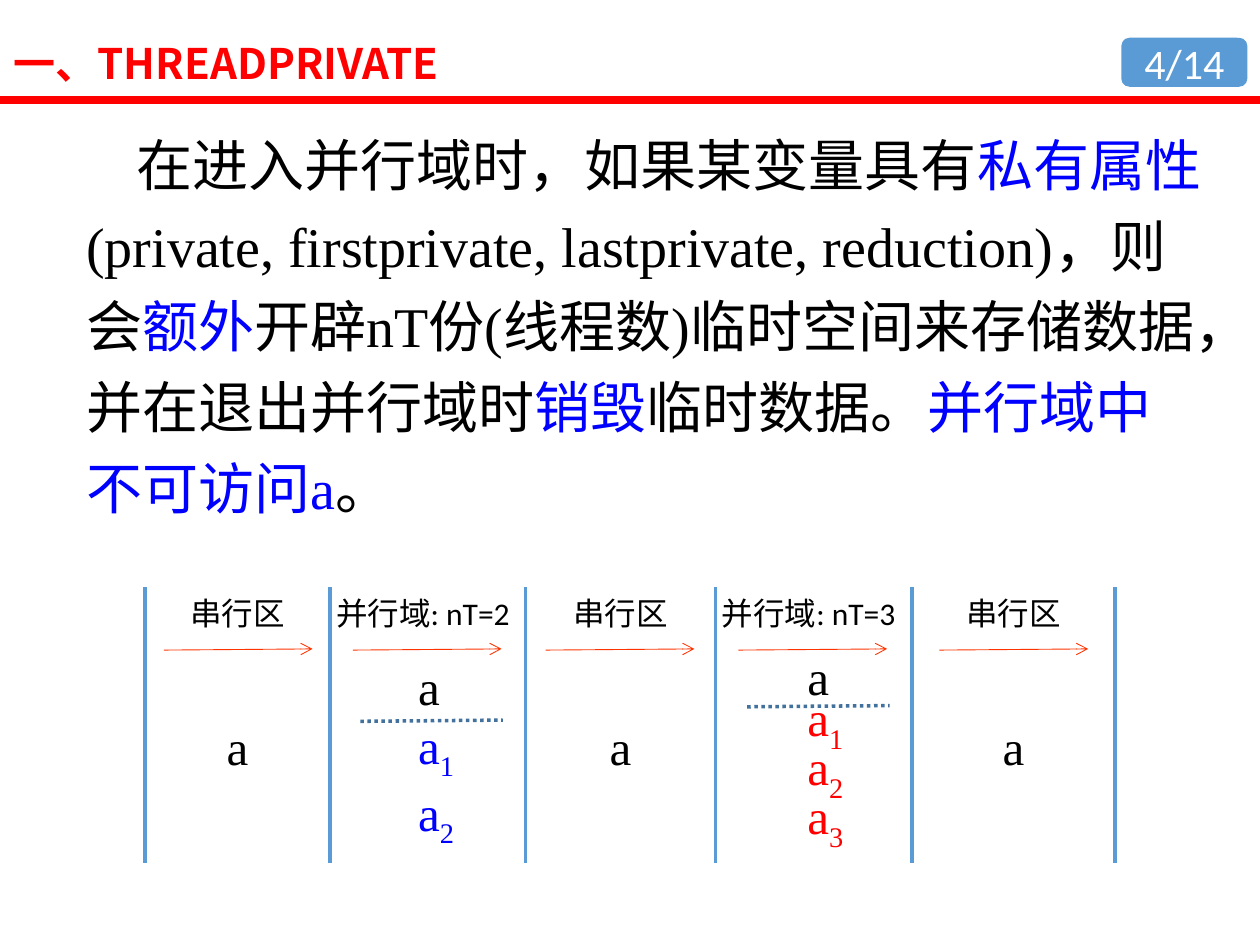
from lxml import etree
from pptx import Presentation
from pptx.dml.color import RGBColor
from pptx.enum import dml, shapes, text
from pptx.oxml import ns
from pptx.util import Pt

RED = RGBColor(0xFF, 0x00, 0x00)
BLUE = RGBColor(0x00, 0x00, 0xFF)
BLACK = RGBColor(0x00, 0x00, 0x00)
WHITE = RGBColor(0xFF, 0xFF, 0xFF)
DIVIDER = RGBColor(0x5B, 0x9B, 0xD5)
ARROW = RGBColor(0xFF, 0x33, 0x00)
DOTTED = RGBColor(0x41, 0x71, 0x9C)
SERIF = "Times New Roman"

deck = Presentation()
deck.slide_width, deck.slide_height = Pt(720), Pt(540)
page = deck.slides.add_slide(deck.slide_layouts[6])


def add_line(x1, y1, x2, y2, color, weight):
    line = page.shapes.add_connector(
        shapes.MSO_CONNECTOR.STRAIGHT, Pt(x1), Pt(y1), Pt(x2), Pt(y2))
    line.line.color.rgb = color
    line.line.width = Pt(weight)
    etree.SubElement(line._element.spPr, ns.qn("a:effectLst"))
    return line


def add_text(left, top, width, height, paragraphs, font, size, wrap=False):
    box = page.shapes.add_textbox(Pt(left), Pt(top), Pt(width), Pt(height))
    frame = box.text_frame
    frame.word_wrap = wrap
    for index, runs in enumerate(paragraphs):
        para = frame.add_paragraph() if index else frame.paragraphs[0]
        for words, color, subscript in runs:
            span = para.add_run()
            span.text = words
            span.font.name = font
            span.font.size = Pt(size)
            span.font.color.rgb = color
            if subscript:
                span.font._element.set("baseline", "-25000")
    return frame


add_line(0, 56.9, 720, 56.9, RED, 4.5)

badge = page.shapes.add_shape(
    shapes.MSO_SHAPE.ROUNDED_RECTANGLE, Pt(640.8), Pt(21.6), Pt(72), Pt(28))
badge.shadow.inherit = False
badge.fill.solid()
badge.fill.fore_color.rgb = DIVIDER
badge.line.fill.background()
badge.text_frame.word_wrap = False
badge.text_frame.vertical_anchor = text.MSO_ANCHOR.MIDDLE
para = badge.text_frame.paragraphs[0]
para.alignment = text.PP_ALIGN.CENTER
span = para.add_run()
span.text = "4/14"
span.font.name = "Calibri"
span.font.size = Pt(24)
span.font.color.rgb = WHITE

title = add_text(0.7, 20.9, 442, 33, [[("一、THREADPRIVATE", RED, False)]],
                 "Noto Sans CJK SC", 24, wrap=True)
title.vertical_anchor = text.MSO_ANCHOR.MIDDLE
title.paragraphs[0].line_spacing = 0.9
title.paragraphs[0].runs[0].font.bold = True

body_runs = [
    ("在进入并行域时，如果某变量具有", BLACK, False),
    ("私有属性", BLUE, False),
    ("(private, firstprivate, lastprivate, reduction)，则会", BLACK, False),
    ("额外", BLUE, False),
    ("开辟nT份(线程数)临时空间来存储数据，并在退出并行域时", BLACK, False),
    ("销毁", BLUE, False),
    ("临时数据。", BLACK, False),
    ("并行域中不可访问a", BLUE, False),
    ("。", BLACK, False),
]
body = add_text(42.2, 63.4, 653, 465.8, [body_runs], SERIF, 32, wrap=True)
body.paragraphs[0].line_spacing = 1.2
body.paragraphs[0]._p.get_or_add_pPr().set("indent", str(Pt(28.7)))

for x in (82.8, 188.6, 300.2, 409, 521.3, 637.2):
    add_line(x, 335.5, x, 493.2, DIVIDER, 2)

regions = [
    (101.5, 68.4, "串行区", 93.6),
    (185, 118, "并行域: nT=2", 201.6),
    (320.4, 68.4, "串行区", 311.8),
    (405.4, 118, "并行域: nT=3", 421.9),
    (545, 68.4, "串行区", 536.8),
]
for left, width, label, arrow_left in regions:
    add_text(left, 335.8, width, 29, [[(label, BLACK, False)]], "Calibri", 18)
    arrow = add_line(arrow_left, 371.5, arrow_left + 85, 370.8, ARROW, 0.5)
    etree.SubElement(arrow.line._get_or_add_ln(), ns.qn("a:tailEnd"), type="arrow")

for left in (122.4, 341.3, 565.9):
    add_text(left, 405.7, 26.6, 41, [[("a", BLACK, False)]], SERIF, 28)

for left, height, count, color, spacing in (
        (231.8, 117.4, 2, BLUE, None), (454.3, 119.5, 3, RED, Pt(28))):
    copies = [[("a", color, False), (str(number), color, True)]
              for number in range(1, count + 1)]
    variables = add_text(left, 371.8, 48, height,
                         [[("a", BLACK, False)]] + copies, SERIF, 28, wrap=True)
    for para in variables.paragraphs:
        para.line_spacing = spacing

for left, top in ((205.9, 412.2), (427, 403.9)):
    dotted = add_line(left, top, left + 81.4, top - 0.7, DOTTED, 2)
    dotted.line.dash_style = dml.MSO_LINE.ROUND_DOT

deck.save("out.pptx")
